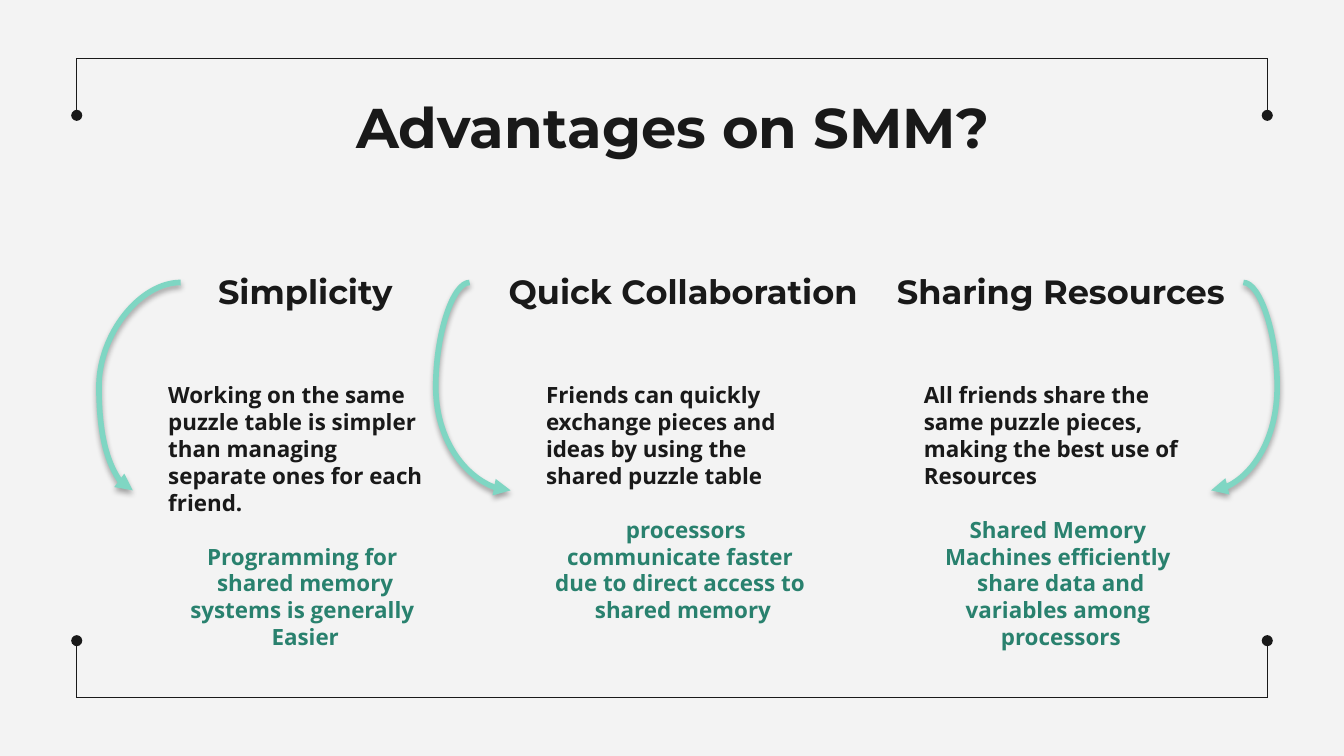
from dataclasses import dataclass

from lxml import etree
from pptx import Presentation
from pptx.dml.color import RGBColor
from pptx.enum.shapes import MSO_CONNECTOR as CONN
from pptx.enum.text import MSO_ANCHOR as ANCHOR, PP_ALIGN as ALIGN
from pptx.oxml import parse_xml
from pptx.oxml.ns import nsdecls, qn
from pptx.util import Cm, Pt


@dataclass(frozen=True)
class Theme:
    paper: str = "F3F3F3"
    ink: str = "191919"
    green: str = "29816E"
    mint: str = "7FD6C3"
    display: str = "Montserrat"
    body: str = "Open Sans"
    title_size: int = 30
    heading_size: int = 18
    body_size: int = 12
    frame_width: float = 0.75
    arrow_width: float = 3


THEME = Theme()

COLUMNS = [
    ("Simplicity", 4.29, "left",
     ["Working on the same", "puzzle table is simpler", "than managing",
      "separate ones for each", "friend."],
     ["Programming for ", "shared memory", "systems is generally ", "Easier"]),
    ("Quick Collaboration", 7.65, "left",
     ["Friends can quickly", "exchange pieces and", "ideas by using the",
      "shared puzzle table"],
     [" processors", "communicate faster ", "due to direct access to ",
      "shared memory"]),
    ("Sharing Resources", 7.32, "right",
     ["All friends share the", "same puzzle pieces,", "making the best use of",
      "Resources"],
     ["Shared Memory ", "Machines efficiently ", "share data and",
      "variables among ", "processors"]),
]


def add_box(slide, x, y, w, h, anchor=ANCHOR.TOP):
    tf = slide.shapes.add_textbox(Cm(x), Cm(y), Cm(w), Cm(h)).text_frame
    tf.word_wrap = True
    tf.vertical_anchor = anchor
    tf.margin_left = tf.margin_right = Cm(0.25)
    tf.margin_top = tf.margin_bottom = Cm(0.25)
    return tf


def style(p, text, font, size, color, align, hanging=True):
    p.text = text
    p.alignment = align
    if hanging:
        pPr = p._p.get_or_add_pPr()
        pPr.set("marL", str(Cm(1.27)))
        pPr.set("indent", str(Cm(-0.85)))
    for r in p.runs:
        r.font.name = font
        r.font.size = Pt(size)
        r.font.bold = True
        r.font.color.rgb = RGBColor.from_string(color)


def add_line(slide, kind, start, end, color, width, tail=None, shadow=False):
    points = [Cm(v) for v in (*start, *end)]
    line = slide.shapes.add_connector(kind, *points)
    line.line.color.rgb = RGBColor.from_string(color)
    line.line.width = Pt(width)
    if tail:
        etree.SubElement(line.line._get_or_add_ln(), qn("a:tailEnd"), type=tail)
    effects = etree.SubElement(line._element.spPr, qn("a:effectLst"))
    if shadow:
        effects.append(parse_xml(
            f'<a:outerShdw {nsdecls("a")} blurRad="40000" dist="23000" '
            'dir="5400000" rotWithShape="0"><a:srgbClr val="000000">'
            '<a:alpha val="35000"/></a:srgbClr></a:outerShdw>'))
    return line


def add_frame(slide, x, y, w, h, leg=1.08):
    for edge, inner in ((y, y + leg), (y + h, y + h - leg)):
        add_line(slide, CONN.STRAIGHT, (x, edge), (x + w, edge),
                 THEME.ink, THEME.frame_width)
        for side in (x, x + w):
            add_line(slide, CONN.STRAIGHT, (side, edge), (side, inner),
                     THEME.ink, THEME.frame_width, "oval")


def add_title(slide, x, y, w, h):
    tf = add_box(slide, x, y, w, h)
    style(tf.paragraphs[0], "Advantages on SMM?", THEME.display,
          THEME.title_size, THEME.ink, ALIGN.CENTER, hanging=False)


def add_arrow(slide, start, end, side, bulge=0.64):
    if side == "left":
        via = min(start[0], end[0]) - bulge
    else:
        via = max(start[0], end[0]) + bulge
    line = add_line(slide, CONN.CURVE, start, end, THEME.mint,
                    THEME.arrow_width, "triangle", shadow=True)
    line_geometry = line._element.spPr.find(qn("a:prstGeom"))
    guides = line_geometry.find(qn("a:avLst"))
    ratio = (via - start[0]) / (end[0] - start[0])
    etree.SubElement(guides, qn("a:gd"), name="adj1",
                     fmla=f"val {round(ratio * 100000)}")


def add_column(slide, x, y, w, h, column):
    heading, heading_w, side, analogy, meaning = column
    heading_h, body_h = 1.6, 4.62
    heading_x, body_y = x + (w - heading_w) / 2, y + h - body_h

    tf = add_box(slide, heading_x, y, heading_w, heading_h, ANCHOR.BOTTOM)
    style(tf.paragraphs[0], heading, THEME.display, THEME.heading_size,
          THEME.ink, ALIGN.CENTER)

    tf = add_box(slide, x, body_y, w, body_h)
    for i, text in enumerate(analogy + meaning):
        p = tf.paragraphs[0] if i == 0 else tf.add_paragraph()
        if i < len(analogy):
            style(p, text, THEME.body, THEME.body_size, THEME.ink, ALIGN.LEFT)
        else:
            style(p, text, THEME.body, THEME.body_size, THEME.green, ALIGN.CENTER)
        if i == len(analogy):
            p.space_before = Pt(14.4)

    start_x, end_x = (heading_x, x) if side == "left" else (heading_x + heading_w, x + w)
    add_arrow(slide, (start_x, y + heading_h / 2), (end_x, body_y + body_h / 2), side)


def main():
    prs = Presentation()
    prs.slide_width, prs.slide_height = Cm(25.4), Cm(14.29)
    s = prs.slides.add_slide(prs.slide_layouts[6])
    s.background.fill.solid()
    s.background.fill.fore_color.rgb = RGBColor.from_string(THEME.paper)

    add_frame(s, 1.45, 1.1, 22.5, 12.09)
    add_title(s, 2.01, 1.5, 21.41, 1.6)
    for i, column in enumerate(COLUMNS):
        add_column(s, 2.51 + i * 7.14, 4.54, 6.1, 7.04, column)
    prs.save("out.pptx")


if __name__ == "__main__":
    main()
